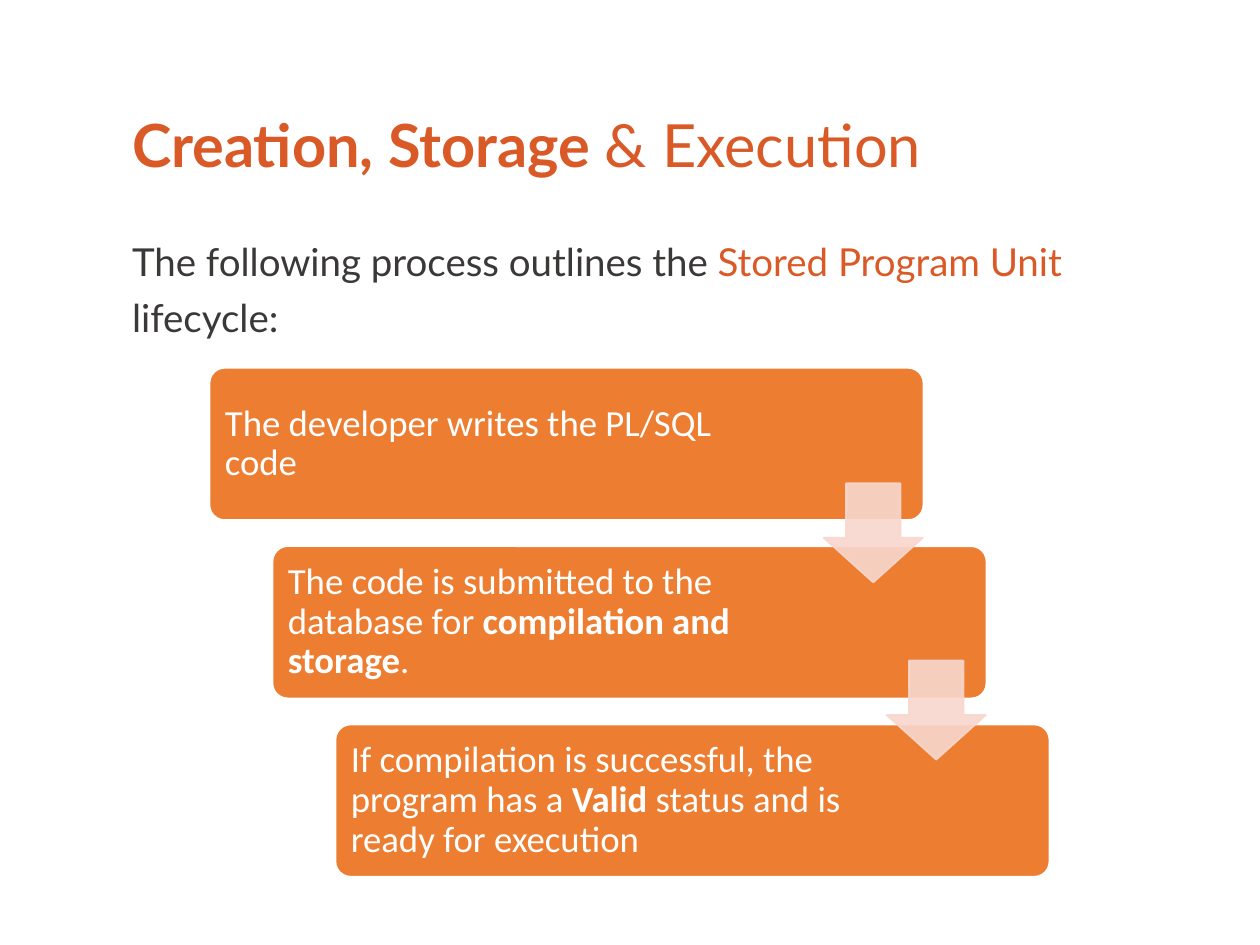
import pptx
import pptx.util
import pptx.dml.color
import pptx.enum.shapes
import pptx.enum.text
import pptx.oxml.ns
import lxml.etree

Pt = pptx.util.Pt
RGB = pptx.dml.color.RGBColor
KIND = pptx.enum.shapes.MSO_SHAPE
ANCHOR = pptx.enum.text.MSO_ANCHOR
ALIGN = pptx.enum.text.PP_ALIGN

RUST = RGB(0xD9, 0x5A, 0x27)
DARK = RGB(0x3B, 0x38, 0x38)
ORANGE = RGB(0xED, 0x7D, 0x31)
PINK = RGB(0xF8, 0xD7, 0xCE)
WHITE = RGB(0xFF, 0xFF, 0xFF)


def write(frame, runs, font="Calibri", size=21, color=WHITE, space=0.9,
          gap=0, inset=(7.2, 3.6), anchor=ANCHOR.MIDDLE):
    """Fill a frame with runs of (text, bold, color or None)."""
    frame.word_wrap = True
    frame.vertical_anchor = anchor
    frame.margin_left = frame.margin_right = Pt(inset[0])
    frame.margin_top = frame.margin_bottom = Pt(inset[1])
    para = frame.paragraphs[0]
    para.alignment = ALIGN.LEFT
    para.line_spacing = space
    para.space_before = para.space_after = Pt(gap)
    for text, bold, tint in runs:
        run = para.add_run()
        run.text = text
        run.font.name = font
        run.font.size = Pt(size)
        run.font.bold = bold
        run.font.color.rgb = tint or color


class Deck:
    def __init__(self):
        self.file = pptx.Presentation()
        self.file.slide_width = Pt(720)
        self.file.slide_height = Pt(540)
        self.slide = self.file.slides.add_slide(self.file.slide_layouts[6])

    def text(self, box, runs, **style):
        shape = self.slide.shapes.add_textbox(*map(Pt, box))
        write(shape.text_frame, runs, **style)

    def shape(self, kind, box, adjust, fill, line, alpha=100):
        shape = self.slide.shapes.add_shape(kind, *map(Pt, box))
        shape.shadow.inherit = False
        for i, value in enumerate(adjust):
            shape.adjustments[i] = value
        shape.fill.solid()
        shape.fill.fore_color.rgb = fill
        shape.line.color.rgb = line
        shape.line.width = Pt(1)
        if alpha < 100:
            qn = pptx.oxml.ns.qn
            for tone in shape.fill._xPr.iter(qn("a:srgbClr")):
                lxml.etree.SubElement(tone, qn("a:alpha"), val=str(alpha * 1000))

    def card(self, box, runs, width):
        self.shape(KIND.ROUNDED_RECTANGLE, box, [0.1], ORANGE, WHITE)
        left, top, _, height = box
        self.text((left + 2.5, top + 2.5, width, height - 5), runs,
                  inset=(6.3, 6.3))

    def arrow(self, box):
        self.shape(KIND.DOWN_ARROW, box, [0.55, 0.45], PINK, PINK, alpha=90)


STEPS = [
    ([("The developer writes the PL/SQL code", False, None)], 314),
    ([("The code is submitted to the database for ", False, None),
      ("compilation and storage", True, None),
      (".", False, None)], 310),
    ([("If compilation is successful, the program has a ", False, None),
      ("Valid", True, None),
      (" status and is ready for execution", False, None)], 310),
]


def main():
    deck = Deck()

    # Title and lead sentence
    deck.text((68.4, 56.9, 579, 49.7),
              [("Creation, Storage ", True, None), ("& Execution", False, None)],
              font="Lato", size=34, color=RUST, anchor=ANCHOR.BOTTOM)
    deck.text((68.4, 127.4, 579, 343),
              [("The following process outlines the ", False, None),
               ("Stored Program Unit ", False, RUST),
               ("lifecycle:", False, None)],
              font="Lato", size=22, color=DARK, space=1.2, gap=12,
              anchor=ANCHOR.TOP)

    # Staircase of steps
    for i, (runs, width) in enumerate(STEPS):
        deck.card((119.7 + 36 * i, 210.2 + 101.9 * i, 408, 87), runs, width)

    # Arrows between steps
    for i in range(len(STEPS) - 1):
        deck.arrow((470.7 + 36 * i, 276.2 + 101.3 * i, 56.6, 56.6))

    deck.file.save("out.pptx")


if __name__ == "__main__":
    main()
